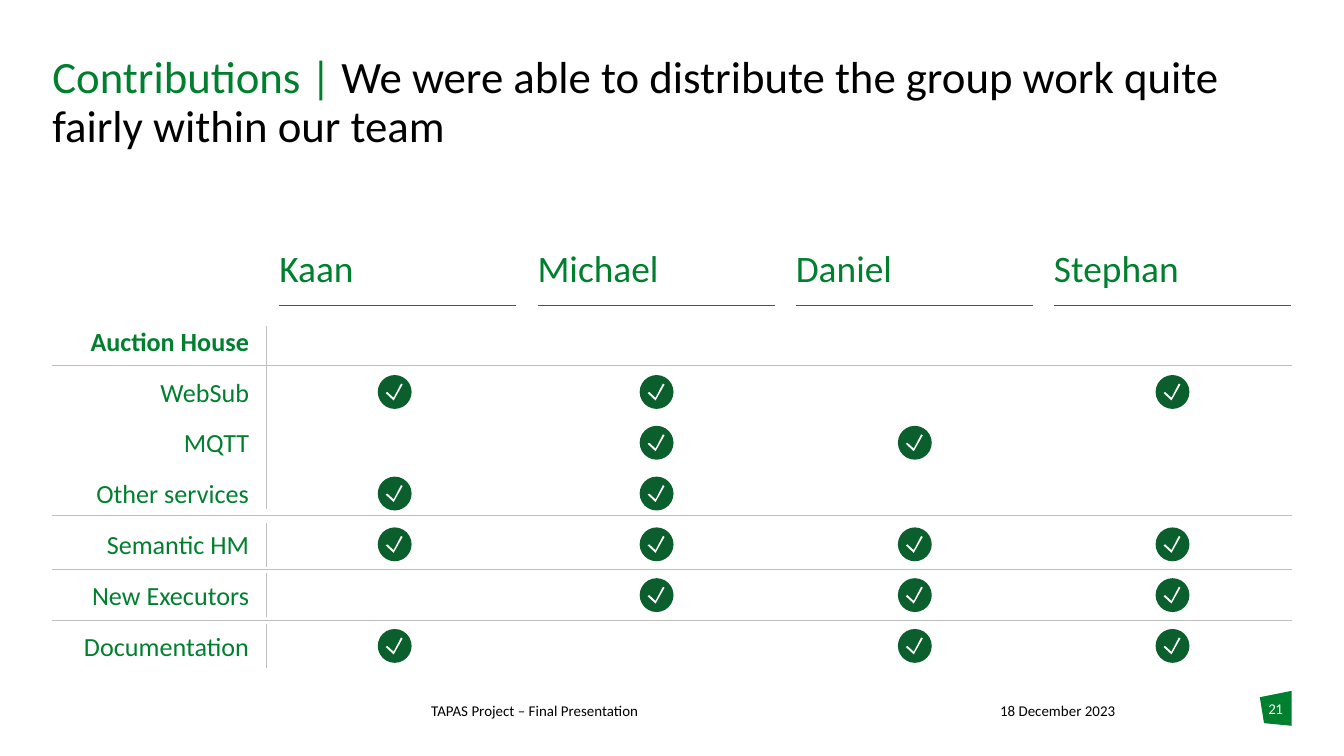
from pptx import Presentation
from pptx.dml.color import RGBColor
from pptx.enum.shapes import MSO_CONNECTOR, MSO_SHAPE
from pptx.enum.text import MSO_ANCHOR, PP_ALIGN
from pptx.oxml.ns import qn
from pptx.util import Cm, Pt
from lxml import etree

LEFT, CENTER, RIGHT = PP_ALIGN.LEFT, PP_ALIGN.CENTER, PP_ALIGN.RIGHT
TOP, MIDDLE = MSO_ANCHOR.TOP, MSO_ANCHOR.MIDDLE
OVAL, STRAIGHT = MSO_SHAPE.OVAL, MSO_CONNECTOR.STRAIGHT

GREEN, DARK_GREEN, GRAY = "00802F", "0A5F2D", "BFBFBF"
BLACK, WHITE = "000000", "FFFFFF"

# Member name and left edge of the ticks in that column
MEMBERS = [("Kaan", 7.14), ("Michael", 12.09), ("Daniel", 16.97), ("Stephan", 21.84)]
# Task and the member columns that are ticked
TASKS = [
    ("Auction House", []),
    ("WebSub", [0, 1, 3]),
    ("MQTT", [1, 2]),
    ("Other services", [0, 1]),
    ("Semantic HM", [0, 1, 2, 3]),
    ("New Executors", [1, 2, 3]),
    ("Documentation", [0, 2, 3]),
]
EDGE_L, EDGE_R = 0.99, 24.41
COL_LEFT, COL_STEP, COL_W = 5.28, 4.88, 4.48
ROW_TOP, ROW_STEP, ROW_H = 5.99, 0.96, 0.91
DIVIDER_X = 5.03
TICK_D = 0.64
TICK = [(0.3, 0.43), (0.18, 0.32), (0.15, 0.34), (0.3, 0.48), (0.47, 0.18), (0.44, 0.16)]
BADGE = [(23.81, 13.18), (24.41, 13.06), (24.41, 13.72), (23.89, 13.67)]


def rgb(value):
    return RGBColor.from_string(value)


class Deck:
    font = "Calibri"

    def __init__(self, width, height):
        self.prs = Presentation()
        self.prs.slide_width, self.prs.slide_height = Cm(width), Cm(height)
        self.s = self.prs.slides.add_slide(self.prs.slide_layouts[6])

    def text(self, x, y, w, h, runs, size, align=LEFT, anchor=TOP,
             inset=(0, 0), bold=False, spacing=None):
        """Add a text box from (text, colour) runs; inset is (side, top and bottom)."""
        sp = self.s.shapes.add_textbox(Cm(x), Cm(y), Cm(w), Cm(h))
        tf = sp.text_frame
        side, end = Cm(inset[0]), Cm(inset[1])
        frame = {"word_wrap": True, "vertical_anchor": anchor, "margin_left": side,
                 "margin_right": side, "margin_top": end, "margin_bottom": end}
        for name, value in frame.items():
            setattr(tf, name, value)
        p = tf.paragraphs[0]
        p.alignment, p.line_spacing = align, spacing
        for words, color in runs:
            r = p.add_run()
            r.text = words
            for name, value in {"name": self.font, "size": Pt(size), "bold": bold}.items():
                setattr(r.font, name, value)
            r.font.color.rgb = rgb(color)
        return sp

    def line(self, x1, y1, x2, y2, color):
        sp = self.s.shapes.add_connector(STRAIGHT, Cm(x1), Cm(y1), Cm(x2), Cm(y2))
        sp.line.color.rgb = rgb(color)
        sp.line.width = Pt(0.5)
        etree.SubElement(sp._element.spPr, qn("a:effectLst"))

    def paint(self, sp, color):
        sp.shadow.inherit = False
        sp.fill.solid()
        sp.fill.fore_color.rgb = rgb(color)
        sp.line.fill.background()

    def polygon(self, points, color, shapes=None):
        pts = [(Cm(x), Cm(y)) for x, y in points]
        builder = (shapes or self.s.shapes).build_freeform(*pts[0])
        builder.add_line_segments(pts[1:], close=True)
        self.paint(builder.convert_to_shape(), color)

    def tick(self, x, y):
        shapes = self.s.shapes.add_group_shape().shapes
        sp = shapes.add_shape(OVAL, Cm(x), Cm(y), Cm(TICK_D), Cm(TICK_D))
        self.paint(sp, DARK_GREEN)
        self.polygon([(x + dx, y + dy) for dx, dy in TICK], WHITE, shapes)


def main():
    deck = Deck(25.4, 14.29)

    deck.text(8.15, 13.26, 6.3, 0.5, [("TAPAS Project – Final Presentation", BLACK)], 8)
    deck.polygon(BADGE, GREEN)
    deck.text(18.9, 13.26, 3.28, 0.5, [("18 December 2023", BLACK)], 8)
    title = [("Contributions | ", GREEN),
             ("We were able to distribute the group work quite fairly within our team", BLACK)]
    deck.text(EDGE_L, 1.04, EDGE_R - EDGE_L, 1.7, title, 24, spacing=0.9)
    number = deck.text(23.81, 13.23, 0.6, 0.76, [("21", WHITE)], 8, CENTER)
    number.text_frame.paragraphs[0].runs[0].font._element.set("spc", "-30")

    for col, (name, _) in enumerate(MEMBERS):
        x = COL_LEFT + col * COL_STEP
        deck.text(x, 4.35, COL_W, 1.4, [(name, GREEN)], 20, anchor=MIDDLE)
        deck.line(x, 5.77, x + COL_W, 5.77, GREEN)

    for y in (6.91, 9.75, 10.77, 11.73):
        deck.line(EDGE_L, y, EDGE_R, y, GRAY)
    for top, bottom in ((6.17, 9.63), (9.88, 10.71), (10.84, 11.67), (11.8, 12.63)):
        deck.line(DIVIDER_X, top, DIVIDER_X, bottom, GRAY)

    for row, (task, ticked) in enumerate(TASKS):
        y = ROW_TOP + row * ROW_STEP
        deck.text(0.74, y, 4.22, ROW_H, [(task, GREEN)], 14, RIGHT, MIDDLE,
                  inset=(0.25, 0.13), bold=row == 0)
        for col in ticked:
            deck.tick(MEMBERS[col][1], y + 0.14)

    deck.prs.save("out.pptx")


if __name__ == "__main__":
    main()
